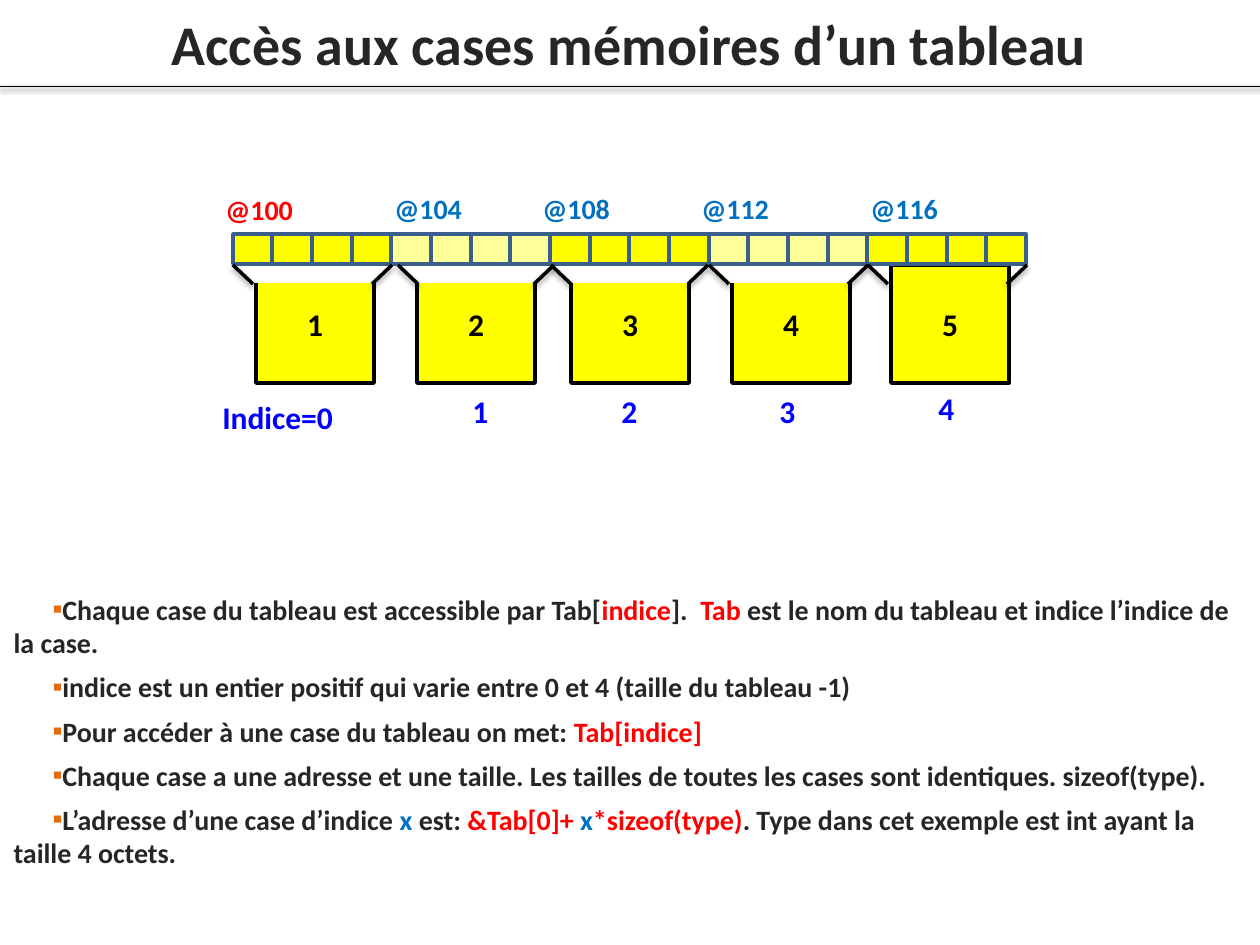
import pptx
import pptx.util
import pptx.dml.color
import pptx.enum.shapes
import pptx.enum.text
import pptx.oxml

EMU_PER_PIXEL = 914400 / 126
FONT = "Calibri"
COLORS = {
    "dark": "262626", "red": "FF0000", "blue": "0070C0", "index": "0000FF",
    "black": "000000", "white": "FFFFFF", "yellow": "FFFF00", "pale": "FFFF99",
    "border": "3A5F8C", "bullet": "E46C0A",
}
NS = 'xmlns:a="http://schemas.openxmlformats.org/drawingml/2006/main"'
ALIGN = pptx.enum.text.PP_ALIGN
ANCHOR = pptx.enum.text.MSO_ANCHOR

TITLE = "Accès aux cases mémoires d’un tableau"
RULES = [
    [("Chaque case du tableau est accessible par Tab[", "dark"), ("indice", "red"),
     ("].  ", "dark"), ("Tab ", "red"),
     ("est le nom du tableau et indice l’indice de la case.", "dark")],
    [("indice est un entier positif qui varie entre 0 et 4 (taille du tableau -1)", "dark")],
    [("Pour accéder à une case du tableau on met: ", "dark"), ("Tab[indice]", "red")],
    [("Chaque case a une adresse et une taille. Les tailles de toutes les cases "
      "sont identiques. sizeof(type).", "dark")],
    [("L’adresse d’une case d’indice ", "dark"), ("x", "blue"), (" est: ", "dark"),
     ("&Tab[0]+ ", "red"), ("x", "blue"), ("*sizeof(type)", "red"),
     (". Type dans cet exemple est int ayant la taille 4 octets.", "dark")],
]
BOX_LEFTS = [256, 417, 571, 732, 891]
MASK_LEFTS = [[194], [355], [520], [683, 693], []]
FUNNELS = [(233, 392), (398, 554), (551, 708), (709, 868), (868, 1027)]
ADDRESSES = [("@100", 213, 186, "red"), ("@104", 382, 185, "blue"),
             ("@108", 530, 185, "blue"), ("@112", 689, 185, "blue"),
             ("@116", 858, 185, "blue")]
INDICES = [("Indice=0", 210, 392, 149), ("1", 460, 386, 60), ("2", 609, 386, 60),
           ("3", 767, 386, 60), ("4", 926, 383, 60)]
CELL_ROW_LEFT = 233
CELL_ROW_TOP = 234
CELL_ROW_BOTTOM = 265


def px(length):
    return pptx.util.Emu(round(length * EMU_PER_PIXEL))


def rgb(color):
    return pptx.dml.color.RGBColor.from_string(COLORS[color])


def add_run(paragraph, text, size, color):
    run = paragraph.add_run()
    run.text = text
    run.font.name = FONT
    run.font.size = pptx.util.Pt(size)
    run.font.bold = True
    run.font.color.rgb = rgb(color)


def place(holder, left, top, width, height):
    holder.left, holder.top = px(left), px(top)
    holder.width, holder.height = px(width), px(height)


def fit(frame):
    frame.word_wrap = True
    frame.auto_size = pptx.enum.text.MSO_AUTO_SIZE.SHAPE_TO_FIT_TEXT
    frame.vertical_anchor = ANCHOR.TOP


def add_label(slide, text, left, top, width, height, size, color):
    label = slide.shapes.add_textbox(px(left), px(top), px(width), px(height))
    fit(label.text_frame)
    add_run(label.text_frame.paragraphs[0], text, size, color)


def add_rect(slide, left, top, width, height, fill, border=None, text=None):
    rect = slide.shapes.add_shape(pptx.enum.shapes.MSO_SHAPE.RECTANGLE,
                                  px(left), px(top), px(width), px(height))
    rect.shadow.inherit = False
    rect.fill.solid()
    rect.fill.fore_color.rgb = rgb(fill)
    if border:
        rect.line.color.rgb = rgb(border)
        rect.line.width = pptx.util.Pt(2)
    else:
        rect.line.fill.background()
    if text:
        rect.text_frame.vertical_anchor = ANCHOR.MIDDLE
        paragraph = rect.text_frame.paragraphs[0]
        paragraph.alignment = ALIGN.CENTER
        add_run(paragraph, text, 18, "black")


def add_line(slide, start, end, width):
    line = slide.shapes.add_connector(pptx.enum.shapes.MSO_CONNECTOR.STRAIGHT,
                                      px(start[0]), px(start[1]), px(end[0]), px(end[1]))
    line.line.color.rgb = rgb("black")
    line.line.width = pptx.util.Pt(width)
    line._element.spPr.append(pptx.oxml.parse_xml(
        f'<a:effectLst {NS}><a:outerShdw blurRad="40000" dist="20000" dir="5400000" '
        f'rotWithShape="0"><a:srgbClr val="{COLORS["black"]}"><a:alpha val="38000"/>'
        '</a:srgbClr></a:outerShdw></a:effectLst>'))


def add_bullet(paragraph):
    properties = paragraph._p.get_or_add_pPr()
    properties.set("marL", "0")
    properties.set("indent", str(px(39)))
    for tag in (f'<a:buClr {NS}><a:srgbClr val="{COLORS["bullet"]}"/></a:buClr>',
                f'<a:buFont {NS} typeface="{FONT}"/>',
                f'<a:buChar {NS} char="▪"/>'):
        properties.append(pptx.oxml.parse_xml(tag))


def fill_title(title):
    place(title, -1, 3, 1261, 81)
    fit(title.text_frame)
    paragraph = title.text_frame.paragraphs[0]
    paragraph.alignment = ALIGN.CENTER
    add_run(paragraph, TITLE, 32, "dark")


def fill_rules(body):
    place(body, 1, 586, 1260, 292)
    frame = body.text_frame
    fit(frame)
    for number, rule in enumerate(RULES):
        paragraph = frame.add_paragraph() if number else frame.paragraphs[0]
        paragraph.alignment = ALIGN.LEFT
        paragraph.space_before = pptx.util.Pt(0)
        paragraph.space_after = pptx.util.Pt(6)
        add_bullet(paragraph)
        for text, color in rule:
            add_run(paragraph, text, 16, color)


def draw_memory(slide):
    for number, (left, masks) in enumerate(zip(BOX_LEFTS, MASK_LEFTS), 1):
        add_rect(slide, left, CELL_ROW_BOTTOM, 118, 118, "yellow", "black", str(number))
        for mask_left in masks:
            add_rect(slide, mask_left, 214, 198, 69, "white")
    for byte in range(20):
        fill = "pale" if byte // 4 % 2 else "yellow"
        add_rect(slide, CELL_ROW_LEFT + byte * 119 // 3, CELL_ROW_TOP, 40, 30, fill, "border")
    for left, right in FUNNELS:
        for x, shift in ((left, 20), (right, -20)):
            add_line(slide, (x, CELL_ROW_BOTTOM), (x + shift, CELL_ROW_BOTTOM + 19), 2)
    for text, left, top, color in ADDRESSES:
        add_label(slide, text, left, top, 110, 47, 16, color)
    for text, left, top, width in INDICES:
        add_label(slide, text, left, top, width, 50, 18, "index")


def main():
    deck = pptx.Presentation()
    deck.slide_width, deck.slide_height = px(1260), px(945)
    slide = deck.slides.add_slide(deck.slide_layouts[1])
    fill_title(slide.shapes.title)
    add_line(slide, (0, 86), (1260, 86), 0.5)
    fill_rules(slide.placeholders[1])
    draw_memory(slide)
    deck.save("out.pptx")


main()
